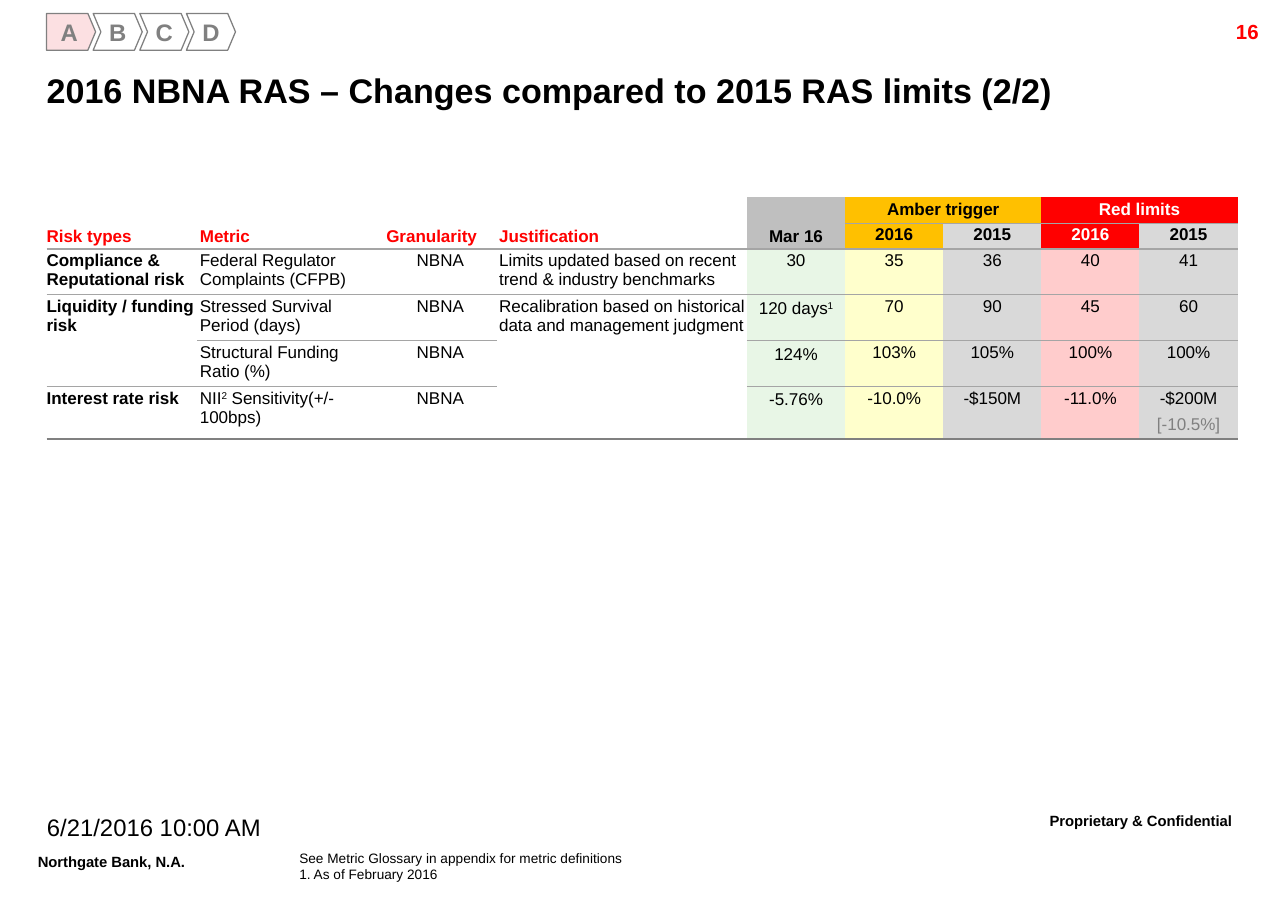
from dataclasses import dataclass

from lxml import etree
from pptx import Presentation
from pptx.dml.color import RGBColor
from pptx.enum.shapes import MSO_SHAPE
from pptx.enum.text import MSO_ANCHOR, PP_ALIGN
from pptx.oxml.ns import qn
from pptx.util import Inches, Pt

COLORS = {
    "black": "000000", "white": "FFFFFF", "red": "FF0000", "amber": "FFC000",
    "silver": "BFBFBF", "light": "D9D9D9", "green": "E8F6E6", "yellow": "FFFFCC",
    "pink": "FFCCCC", "active": "FCE0E2", "gray": "808080", "rule": "A5A5A5",
}
FONT = "Arial"
LEFT, CENTER, RIGHT = PP_ALIGN.LEFT, PP_ALIGN.CENTER, PP_ALIGN.RIGHT
NO_STYLE = "{2D5ABB26-0587-4C30-8999-92F81FD0307C}"


@dataclass
class Label:
    text: str
    box: tuple[float, float, float, float]
    size: float
    bold: bool = False
    color: str = "black"
    align: PP_ALIGN = LEFT
    inset: tuple[float, float] = (0.1, 0.05)
    raised: bool = False
    spacing: float = 1.0
    wrap: bool = True


@dataclass
class Column:
    width: float
    fill: str = "white"
    align: PP_ALIGN = CENTER
    bold: bool = False


@dataclass
class Head:
    row: int
    col: int
    text: str
    fill: str
    color: str
    rows: int = 1
    cols: int = 1


LABELS = [
    Label("Northgate Bank, N.A.", (0.21, 6.91, 1.68, 0.32), 15, True,
          raised=True, spacing=0.86, wrap=False),
    Label("6/21/2016 10:00 AM", (0.05, 6.61, 2.41, 0.34), 14, align=CENTER, spacing=0.86),
    Label("Proprietary & Confidential", (8.21, 6.58, 2.18, 0.35), 15, True,
          align=CENTER, raised=True, spacing=0.86),
    Label("16", (9.36, 0.11, 1, 0.24), 12, True, "red", RIGHT),
    Label("See Metric Glossary in appendix for metric definitions\n1. As of February 2016",
          (2.44, 6.93, 5.47, 0.27), 8, inset=(0, 0)),
]

COLUMNS = [
    Column(1.23, align=LEFT, bold=True), Column(1.52, align=LEFT), Column(0.92),
    Column(2.04, align=LEFT), Column(0.8, "green"), Column(0.8, "yellow"),
    Column(0.8, "light"), Column(0.8, "pink"), Column(0.8, "light"),
]
STATUS_COL = 4
ROW_HEIGHTS = [0.21, 0.21, 0.37, 0.37, 0.37, 0.43]

HEADS = [
    Head(0, i, text, "white", "red", rows=2)
    for i, text in enumerate(["Risk types", "Metric", "Granularity", "Justification"])
] + [
    Head(0, 4, "Mar 16", "silver", "black", rows=2),
    Head(0, 5, "Amber trigger", "amber", "black", cols=2),
    Head(0, 7, "Red limits", "red", "white", cols=2),
    Head(1, 5, "2016", "amber", "black"), Head(1, 6, "2015", "light", "black"),
    Head(1, 7, "2016", "red", "white"), Head(1, 8, "2015", "light", "black"),
]

# Text between carets is superscript; None marks a cell merged into the one above
BODY = [
    ["Compliance & Reputational risk", "Federal Regulator Complaints (CFPB)", "NBNA",
     "Limits updated based on recent trend & industry benchmarks",
     "30", "35", "36", "40", "41"],
    ["Liquidity / funding risk", "Stressed Survival Period (days)", "NBNA",
     "Recalibration based on historical data and management judgment",
     "120 days^1^", "70", "90", "45", "60"],
    [None, "Structural Funding Ratio (%)", "NBNA", None,
     "124%", "103%", "105%", "100%", "100%"],
    ["Interest rate risk", "NII^2^ Sensitivity(+/- 100bps)", "NBNA", None,
     "-5.76%", "-10.0%", "-$150M", "-11.0%", "-$200M\n[-10.5%]"],
]


def rgb(name: str) -> RGBColor:
    return RGBColor.from_string(COLORS[name])


def style_run(r, size: float, bold: bool, color: str, raised: bool = False) -> None:
    r.font.name, r.font.size, r.font.bold = FONT, Pt(size), bold
    r.font.color.rgb = rgb(color)
    if raised:
        r._r.get_or_add_rPr().set("baseline", "30000")


def set_insets(tf, x: float, y: float) -> None:
    tf.margin_left = tf.margin_right = Inches(x)
    tf.margin_top = tf.margin_bottom = Inches(y)


def add_label(slide, label: Label) -> None:
    tf = slide.shapes.add_textbox(*map(Inches, label.box)).text_frame
    tf.word_wrap = label.wrap
    set_insets(tf, *label.inset)
    tf.text = label.text
    for p in tf.paragraphs:
        p.alignment, p.line_spacing = label.align, label.spacing
        for r in p.runs:
            style_run(r, label.size, label.bold, label.color, label.raised)


def add_title(slide, text: str) -> None:
    sp = slide.shapes.title
    sp.left, sp.top, sp.width, sp.height = map(Inches, (0.38, 0.49, 9.48, 0.48))
    tf = sp.text_frame
    tf.text = text
    tf.vertical_anchor = MSO_ANCHOR.MIDDLE
    set_insets(tf, 0, 0)
    tf.paragraphs[0].alignment = LEFT
    style_run(tf.paragraphs[0].runs[0], 20, True, "black")


def add_step(slide, index: int, letter: str) -> None:
    kind = MSO_SHAPE.CHEVRON if index else MSO_SHAPE.PENTAGON
    sp = slide.shapes.add_shape(kind, Inches(0.38 * (index + 1)), Inches(0.11),
                                Inches(0.4), Inches(0.3))
    sp.adjustments[0] = 0.21
    sp.shadow.inherit = False
    sp.fill.solid()
    sp.fill.fore_color.rgb = rgb("white" if index else "active")
    sp.line.color.rgb = rgb("gray")
    sp.line.width = Pt(0.75)
    tf = sp.text_frame
    tf.text = letter
    tf.vertical_anchor = MSO_ANCHOR.MIDDLE
    set_insets(tf, 0, 0)
    tf.paragraphs[0].alignment = CENTER
    style_run(tf.paragraphs[0].runs[0], 14, True, "gray")


def add_border(cell, side: str, color: str, width: float) -> None:
    ln = etree.SubElement(cell._tc.get_or_add_tcPr(), qn(f"a:{side}"), w=str(Pt(width)))
    fill = etree.SubElement(ln, qn("a:solidFill"))
    etree.SubElement(fill, qn("a:srgbClr"), val=COLORS[color])


def paint(cell, fill: str) -> None:
    cell.fill.solid()
    cell.fill.fore_color.rgb = rgb(fill)


def fill_cell(cell, text: str, align: PP_ALIGN, bold: bool, color: str = "black",
              left: float = 0.02) -> None:
    cell.margin_left = Inches(left)
    cell.margin_right = cell.margin_top = cell.margin_bottom = Inches(0.02)
    tf = cell.text_frame
    for i, line in enumerate(text.split("\n")):
        p = tf.add_paragraph() if i else tf.paragraphs[0]
        p.alignment, p.space_after = align, Pt(2)
        if i:
            p.space_before = Pt(2)
        for j, part in enumerate(line.split("^")):
            if part:
                r = p.add_run()
                r.text = part
                style_run(r, 10, bold, "gray" if i else color, raised=j % 2 == 1)


def add_limits_table(slide) -> None:
    width = sum(c.width for c in COLUMNS)
    table = slide.shapes.add_table(len(ROW_HEIGHTS), len(COLUMNS), Inches(0.38), Inches(1.61),
                                   Inches(width), Inches(sum(ROW_HEIGHTS))).table
    table.first_row = table.horz_banding = False
    table._tbl.tblPr.find(qn("a:tableStyleId")).text = NO_STYLE
    for i, column in enumerate(COLUMNS):
        table.columns[i].width = Inches(column.width)
    for i, height in enumerate(ROW_HEIGHTS):
        table.rows[i].height = Inches(height)

    # Header
    for h in HEADS:
        cell = table.cell(h.row, h.col)
        last = table.cell(h.row + h.rows - 1, h.col + h.cols - 1)
        if last is not cell and (h.rows > 1 or h.cols > 1):
            cell.merge(last)
        for col in range(h.col, h.col + h.cols):
            add_border(table.cell(h.row + h.rows - 1, col), "lnB", "rule", 0.75)
        paint(cell, h.fill)
        align = LEFT if h.col < STATUS_COL else CENTER
        fill_cell(cell, h.text, align, True, h.color, 0.02 if h.col else 0)
        if h.rows > 1:
            cell.vertical_anchor = MSO_ANCHOR.BOTTOM

    # Body
    table.cell(3, 0).merge(table.cell(4, 0))
    table.cell(3, 3).merge(table.cell(5, 3))
    last_row = len(ROW_HEIGHTS) - 1
    for row, texts in enumerate(BODY, start=2):
        for col, (column, text) in enumerate(zip(COLUMNS, texts)):
            cell = table.cell(row, col)
            if text is not None:
                add_border(cell, "lnT", "rule", 0.75)
            if row == last_row or (row, col) == (3, 3):
                add_border(cell, "lnB", "gray", 1)
            paint(cell, column.fill)
            if text is None:
                continue
            fill_cell(cell, text, column.align, column.bold, left=0.02 if col else 0)
            if col == STATUS_COL and row > 2:
                cell.margin_top = Inches(0.05)
                cell.text_frame.paragraphs[0].line_spacing = Pt(10)


def main() -> None:
    prs = Presentation()
    prs.slide_width, prs.slide_height = Inches(10.5), Inches(7.5)
    slide = prs.slides.add_slide(prs.slide_layouts[5])
    add_title(slide, "2016 NBNA RAS – Changes compared to 2015 RAS limits (2/2)")
    for label in LABELS:
        add_label(slide, label)
    add_limits_table(slide)
    for index, letter in enumerate("ABCD"):
        add_step(slide, index, letter)
    prs.save("out.pptx")


if __name__ == "__main__":
    main()
